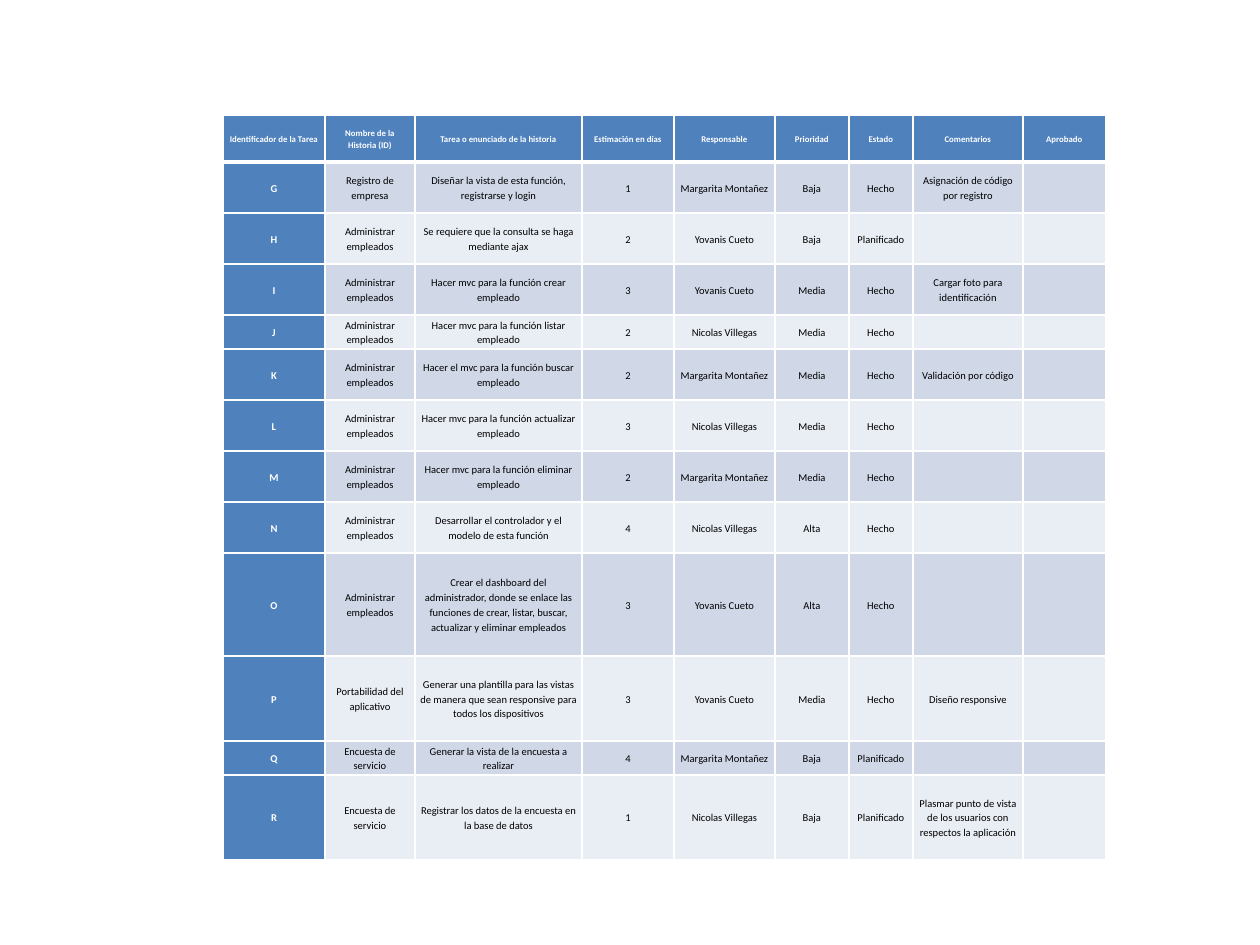
from dataclasses import dataclass

import lxml.etree
import pptx
import pptx.dml.color
import pptx.enum.text
import pptx.oxml.ns
import pptx.util

PX_PER_INCH = 126


@dataclass(frozen=True)
class Theme:
    font: str = "Calibri"
    heading_size: int = 5
    body_size: int = 6
    accent: str = "4F81BD"
    on_accent: str = "FFFFFF"
    ink: str = "000000"
    bands: tuple[str, str] = ("D0D8E8", "E9EDF4")
    rule: str = "FFFFFF"
    thin_rule: int = 1
    thick_rule: int = 3
    line_spacing: float = 1.15
    name_space_after: int = 8


@dataclass(frozen=True)
class Task:
    identifier: str
    story: str
    statement: str
    days: int
    owner: str
    priority: str
    status: str
    comment: str = ""
    height: int = 51

    def texts(self) -> list[str]:
        return [self.identifier, self.story, self.statement, str(self.days),
                self.owner, self.priority, self.status, self.comment, ""]


@dataclass(frozen=True)
class CellStyle:
    fill: str
    ink: str
    size: int
    bold: bool
    top_rule: int
    bottom_rule: int
    space_after: int = 0


THEME = Theme()

# Table content
COLUMNS = [
    ("Identificador de la Tarea", 102),
    ("Nombre de la Historia (ID)", 90),
    ("Tarea o enunciado de la historia", 167),
    ("Estimación en días", 92),
    ("Responsable", 101),
    ("Prioridad", 74),
    ("Estado", 64),
    ("Comentarios", 110),
    ("Aprobado", 83),
]
HEADER_HEIGHT = 47
TABLE_LEFT, TABLE_TOP = 223, 115
MARGIN = 5

EMPLOYEES = "Administrar empleados"
SURVEY = "Encuesta de servicio"
MARGARITA, YOVANIS, NICOLAS = "Margarita Montañez", "Yovanis Cueto", "Nicolas Villegas"
LOW, MEDIUM, HIGH = "Baja", "Media", "Alta"
DONE, PLANNED = "Hecho", "Planificado"

TASKS = [
    Task("G", "Registro de empresa", "Diseñar la vista de esta función, registrarse y login",
         1, MARGARITA, LOW, DONE, "Asignación de código por registro"),
    Task("H", EMPLOYEES, "Se requiere que la consulta se haga mediante ajax",
         2, YOVANIS, LOW, PLANNED),
    Task("I", EMPLOYEES, "Hacer mvc para la función crear empleado",
         3, YOVANIS, MEDIUM, DONE, "Cargar foto para identificación"),
    Task("J", EMPLOYEES, "Hacer mvc para la función listar empleado",
         2, NICOLAS, MEDIUM, DONE, height=34),
    Task("K", EMPLOYEES, "Hacer el mvc para la función buscar empleado",
         2, MARGARITA, MEDIUM, DONE, "Validación por código"),
    Task("L", EMPLOYEES, "Hacer mvc para la función actualizar empleado",
         3, NICOLAS, MEDIUM, DONE),
    Task("M", EMPLOYEES, "Hacer mvc para la función eliminar empleado",
         2, MARGARITA, MEDIUM, DONE),
    Task("N", EMPLOYEES, "Desarrollar el controlador y el modelo de esta función",
         4, NICOLAS, HIGH, DONE),
    Task("O", EMPLOYEES, "Crear el dashboard del administrador, donde se enlace las funciones "
         "de crear, listar, buscar, actualizar y eliminar empleados",
         3, YOVANIS, HIGH, DONE, height=103),
    Task("P", "Portabilidad del aplicativo", "Generar una plantilla para las vistas de manera "
         "que sean responsive para todos los dispositivos",
         3, YOVANIS, MEDIUM, DONE, "Diseño responsive", height=85),
    Task("Q", SURVEY, "Generar la vista de la encuesta a realizar",
         4, MARGARITA, LOW, PLANNED, height=34),
    Task("R", SURVEY, "Registrar los datos de la encuesta en la base de datos",
         1, NICOLAS, LOW, PLANNED,
         "Plasmar punto de vista de los usuarios con respectos la aplicación", height=85),
]


def px(length: int) -> pptx.util.Emu:
    return pptx.util.Emu(round(length * pptx.util.Inches(1) / PX_PER_INCH))


def rgb(color: str) -> pptx.dml.color.RGBColor:
    return pptx.dml.color.RGBColor.from_string(color)


def style_for(row: int, column: int) -> CellStyle:
    """Header row and first column are accented; the body is banded."""
    thin, thick = THEME.thin_rule, THEME.thick_rule
    if row == 0:
        return CellStyle(THEME.accent, THEME.on_accent, THEME.heading_size, True, thin, thick)
    top = thick if row == 1 else thin
    if column == 0:
        return CellStyle(THEME.accent, THEME.on_accent, THEME.body_size, True, top, thin)
    space_after = THEME.name_space_after if column == 1 else 0
    return CellStyle(THEME.bands[(row - 1) % 2], THEME.ink, THEME.body_size, False,
                     top, thin, space_after)


def draw_borders(cell, style: CellStyle) -> None:
    qn = pptx.oxml.ns.qn
    properties = cell._tc.get_or_add_tcPr()
    widths = {"L": THEME.thin_rule, "R": THEME.thin_rule,
              "T": style.top_rule, "B": style.bottom_rule}
    for side, width in widths.items():
        line = lxml.etree.SubElement(properties, qn(f"a:ln{side}"), w=str(pptx.util.Pt(width)))
        fill = lxml.etree.SubElement(line, qn("a:solidFill"))
        lxml.etree.SubElement(fill, qn("a:srgbClr"), val=THEME.rule)


def fill_cell(cell, text: str, style: CellStyle) -> None:
    draw_borders(cell, style)
    cell.fill.solid()
    cell.fill.fore_color.rgb = rgb(style.fill)
    cell.vertical_anchor = pptx.enum.text.MSO_ANCHOR.MIDDLE
    cell.margin_left = cell.margin_right = px(MARGIN)
    cell.margin_top = cell.margin_bottom = 0

    paragraph = cell.text_frame.paragraphs[0]
    paragraph.alignment = pptx.enum.text.PP_ALIGN.CENTER
    paragraph.line_spacing = THEME.line_spacing
    if style.space_after:
        paragraph.space_after = pptx.util.Pt(style.space_after)
    if not text:
        # An empty cell still needs a small type size to keep its row low
        lxml.etree.SubElement(paragraph._p, pptx.oxml.ns.qn("a:endParaRPr"),
                              sz=str(style.size * 100))
        return
    run = paragraph.add_run()
    run.text = text
    run.font.name = THEME.font
    run.font.size = pptx.util.Pt(style.size)
    run.font.bold = style.bold
    run.font.color.rgb = rgb(style.ink)


def draw_backlog(slide) -> None:
    heights = [HEADER_HEIGHT] + [task.height for task in TASKS]
    widths = [width for _, width in COLUMNS]
    backlog = slide.shapes.add_table(
        len(heights), len(widths), px(TABLE_LEFT), px(TABLE_TOP),
        px(sum(widths)), px(sum(heights))).table
    backlog.first_col = True
    for column, width in zip(backlog.columns, widths):
        column.width = px(width)
    for row, height in zip(backlog.rows, heights):
        row.height = px(height)

    lines = [[heading for heading, _ in COLUMNS]] + [task.texts() for task in TASKS]
    for row, texts in enumerate(lines):
        for column, text in enumerate(texts):
            fill_cell(backlog.cell(row, column), text, style_for(row, column))


def main() -> None:
    deck = pptx.Presentation()
    deck.slide_width, deck.slide_height = px(1260), px(945)
    draw_backlog(deck.slides.add_slide(deck.slide_layouts[6]))
    deck.save("out.pptx")


if __name__ == "__main__":
    main()
